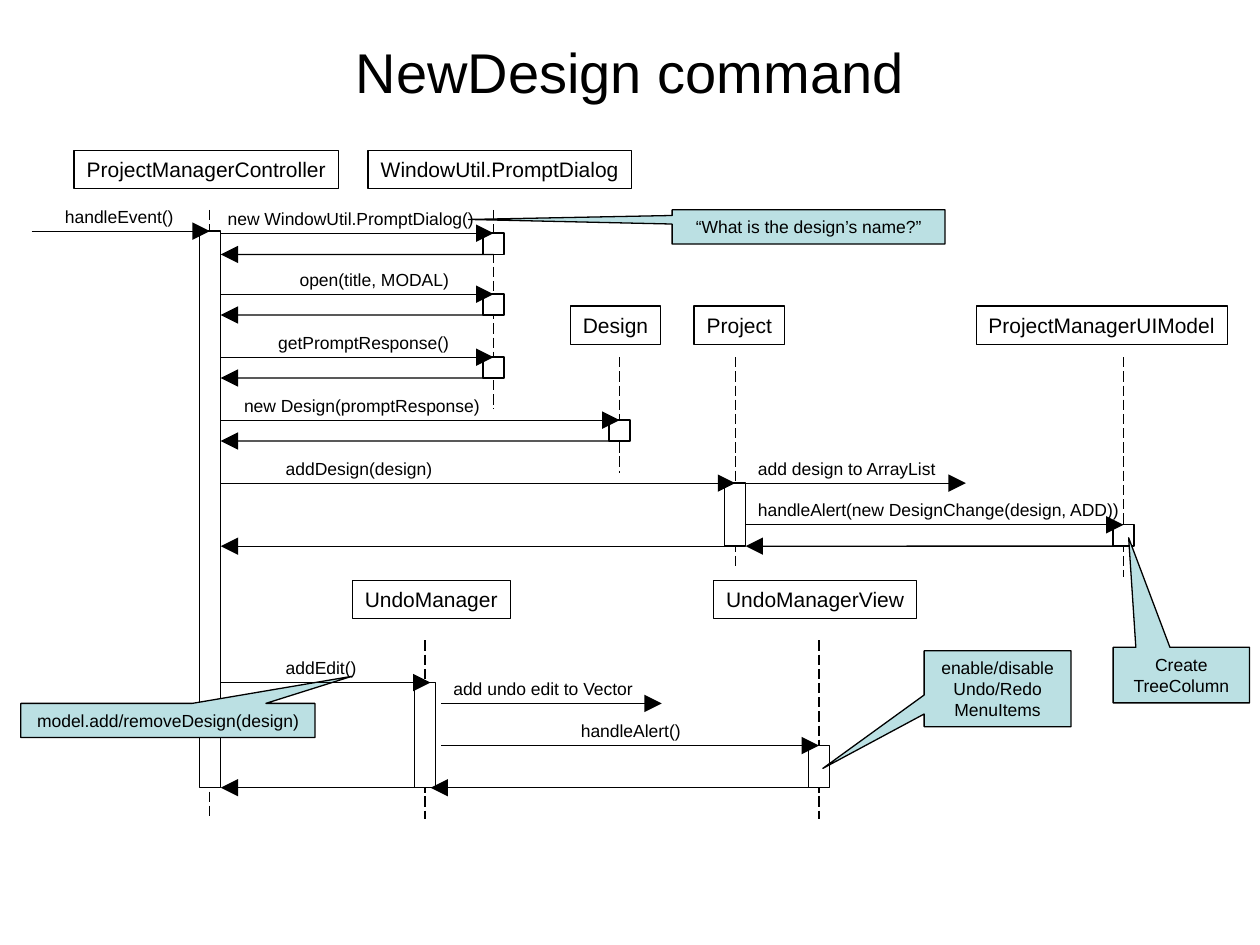
from dataclasses import dataclass
from typing import NamedTuple, Union

from lxml.etree import SubElement
from pptx import Presentation
from pptx.dml.color import RGBColor
from pptx.enum.dml import MSO_LINE_DASH_STYLE as Dash
from pptx.enum.shapes import MSO_CONNECTOR as Conn, MSO_SHAPE as Shape
from pptx.enum.text import MSO_ANCHOR as Anchor, MSO_AUTO_SIZE as AutoSize, PP_ALIGN as Align
from pptx.oxml.ns import qn
from pptx.util import Cm, Pt


@dataclass(frozen=True)
class Theme:
    font: str = "Arial"
    ink: RGBColor = RGBColor(0, 0, 0)
    paper: RGBColor = RGBColor(255, 255, 255)
    note: RGBColor = RGBColor(0xBB, 0xE0, 0xE3)
    title: Pt = Pt(32)
    head: Pt = Pt(12)
    label: Pt = Pt(10)
    line: Pt = Pt(0.75)


THEME = Theme()
TOP, BOTTOM = 0, 2  # rectangle connection sites

# All measures below are in centimetres.
HEAD_H = 0.77
BAR_W = 0.42
LABEL_H = 0.69
LABEL_RISE = 0.64
MAIN_EDGE = 4.45  # right side of the controller's activation bar


class Lifeline(NamedTuple):
    name: str
    head_x: float
    head_y: float
    head_w: float
    x: float
    top: float
    bottom: float


class Bar(NamedTuple):
    lifeline: str
    top: float
    bottom: float


class Message(NamedTuple):
    """An arrow; an end given as a bar's name is joined to that bar."""
    y: float
    start: Union[float, str]
    end: Union[float, str]
    text: str = ""
    text_x: float = 0
    text_w: float = 0


class Callout(NamedTuple):
    text: str
    x: float
    y: float
    w: float
    h: float
    tip: tuple[float, float]


LIFELINES = [
    Lifeline("ProjectManagerController", 1.49, 3.03, 5.34, 4.23, 4.23, 16.51),
    Lifeline("WindowUtil.PromptDialog", 7.42, 3.03, 5.31, 9.95, 4.23, 8.25),
    Lifeline("Design", 11.5, 6.17, 1.82, 12.49, 7.2, 9.53),
    Lifeline("Project", 13.99, 6.17, 1.83, 14.82, 7.2, 11.43),
    Lifeline("ProjectManagerUIModel", 19.68, 6.17, 5.06, 22.65, 7.2, 11.64),
    Lifeline("UndoManager", 7.1, 11.7, 3.19, 8.57, 12.91, 16.51),
    Lifeline("UndoManagerView", 14.39, 11.7, 4.09, 16.51, 12.91, 16.51),
]

BARS = {
    "main": Bar("ProjectManagerController", 4.66, 15.88),
    "create": Bar("WindowUtil.PromptDialog", 4.7, 5.13),
    "open": Bar("WindowUtil.PromptDialog", 5.93, 6.35),
    "response": Bar("WindowUtil.PromptDialog", 7.2, 7.62),
    "design": Bar("Design", 8.47, 8.89),
    "project": Bar("Project", 9.74, 11.01),
    "model": Bar("ProjectManagerUIModel", 10.58, 11.01),
    "undo": Bar("UndoManager", 13.76, 15.88),
    "view": Bar("UndoManagerView", 15.03, 15.88),
}

CALLOUTS = [
    Callout("“What is the design’s name?”", 13.55, 4.23, 5.5, 0.69, (-1.246, -0.216)),
    Callout("model.add/removeDesign(design)", 0.42, 14.18, 5.93, 0.69, (0.625, -1.29)),
    Callout("enable/disable Undo/Redo MenuItems", 18.63, 13.12, 2.96, 1.53, (-1.19, 1.05)),
    Callout("Create TreeColumn", 22.44, 13.05, 2.75, 1.12, (-0.386, -2.472)),
]

MESSAGES = [
    Message(4.66, 0.64, "main", "handleEvent()", 1.06, 2.69),
    Message(4.7, MAIN_EDGE, "create", "new WindowUtil.PromptDialog()", 4.34, 5.46),
    Message(5.13, "create", MAIN_EDGE),
    Message(5.93, MAIN_EDGE, "open", "open(title, MODAL)", 5.79, 3.51),
    Message(6.35, "open", MAIN_EDGE),
    Message(7.2, MAIN_EDGE, "response", "getPromptResponse()", 5.36, 3.94),
    Message(7.62, "response", MAIN_EDGE),
    Message(8.47, MAIN_EDGE, "design", "new Design(promptResponse)", 4.67, 5.26),
    Message(8.89, "design", MAIN_EDGE),
    Message(9.74, MAIN_EDGE, "project", "addDesign(design)", 5.51, 3.45),
    Message(9.74, 15.03, 19.47, "add design to ArrayList", 15.03, 4.09),
    Message(10.58, 15.03, "model", "handleAlert(new DesignChange(design, ADD))", 15.03, 7.8),
    Message(11.01, "model", 15.03),
    Message(11.01, 14.61, MAIN_EDGE),
    Message(13.76, MAIN_EDGE, 8.68, "addEdit()", 5.51, 1.93),
    Message(14.18, 8.89, 13.34, "add undo edit to Vector", 8.89, 4.14),
    Message(15.03, 8.89, "view", "handleAlert()", 11.46, 2.51),
    Message(15.88, "view", 8.68),
    Message(15.88, 8.68, MAIN_EDGE),
]


def write(sp, text: str, size: Pt, align=Align.CENTER, anchor=Anchor.TOP, wrap=False) -> None:
    tf = sp.text_frame
    tf.text = text
    tf.word_wrap = wrap
    tf.auto_size = AutoSize.NONE
    tf.vertical_anchor = anchor
    p = tf.paragraphs[0]
    p.alignment = align
    font = p.runs[0].font
    font.name, font.size = THEME.font, size
    font.color.rgb = THEME.ink


def add_box(slide, x: float, y: float, w: float, h: float, kind=Shape.RECTANGLE, fill=None):
    sp = slide.shapes.add_shape(kind, Cm(x), Cm(y), Cm(w), Cm(h))
    sp.shadow.inherit = False
    if fill is None:
        sp.fill.background()
    else:
        sp.fill.solid()
        sp.fill.fore_color.rgb = fill
    sp.line.color.rgb = THEME.ink
    sp.line.width = THEME.line
    return sp


def add_line(slide, x1: float, y1: float, x2: float, y2: float):
    line = slide.shapes.add_connector(Conn.STRAIGHT, Cm(x1), Cm(y1), Cm(x2), Cm(y2))
    line.line.color.rgb = THEME.ink
    line.line.width = THEME.line
    SubElement(line._element.spPr, qn("a:effectLst"))
    return line


def draw_lifeline(slide, life: Lifeline) -> None:
    head = add_box(slide, life.head_x, life.head_y, life.head_w, HEAD_H)
    write(head, life.name, THEME.head, anchor=Anchor.MIDDLE)
    add_line(slide, life.x, life.top, life.x, life.bottom).line.dash_style = Dash.LONG_DASH


def draw_callout(slide, note: Callout) -> None:
    sp = add_box(slide, note.x, note.y, note.w, note.h, Shape.RECTANGULAR_CALLOUT, THEME.note)
    sp.adjustments[0], sp.adjustments[1] = note.tip
    write(sp, note.text, THEME.label, wrap=True)


def draw_message(slide, msg: Message, bars: dict) -> None:
    """Calls enter a bar at its top, replies leave from its bottom."""
    x1, x2 = (0 if isinstance(end, str) else end for end in (msg.start, msg.end))
    arrow = add_line(slide, x1, msg.y, x2, msg.y)
    if isinstance(msg.start, str):
        arrow.begin_connect(bars[msg.start], BOTTOM)
    if isinstance(msg.end, str):
        arrow.end_connect(bars[msg.end], TOP)
    SubElement(arrow.line._get_or_add_ln(), qn("a:tailEnd"), type="triangle", w="lg", len="lg")
    if msg.text:
        tb = slide.shapes.add_textbox(
            Cm(msg.text_x), Cm(msg.y - LABEL_RISE), Cm(msg.text_w), Cm(LABEL_H))
        write(tb, msg.text, THEME.label, Align.LEFT)


def main() -> None:
    prs = Presentation()
    prs.slide_width, prs.slide_height = Cm(25.4), Cm(19.05)
    s = prs.slides.add_slide(prs.slide_layouts[5])
    title = s.shapes.title
    title.left, title.top, title.width, title.height = Cm(1.27), Cm(0.76), Cm(22.86), Cm(1.35)
    write(title, "NewDesign command", THEME.title, anchor=Anchor.MIDDLE, wrap=True)

    for life in LIFELINES:
        draw_lifeline(s, life)
    axis = {life.name: life.x for life in LIFELINES}
    bars = {
        name: add_box(s, axis[bar.lifeline] - BAR_W / 2, bar.top, BAR_W,
                      bar.bottom - bar.top, fill=THEME.paper)
        for name, bar in BARS.items()
    }
    for note in CALLOUTS:
        draw_callout(s, note)
    for msg in MESSAGES:
        draw_message(s, msg, bars)
    prs.save("out.pptx")


if __name__ == "__main__":
    main()
